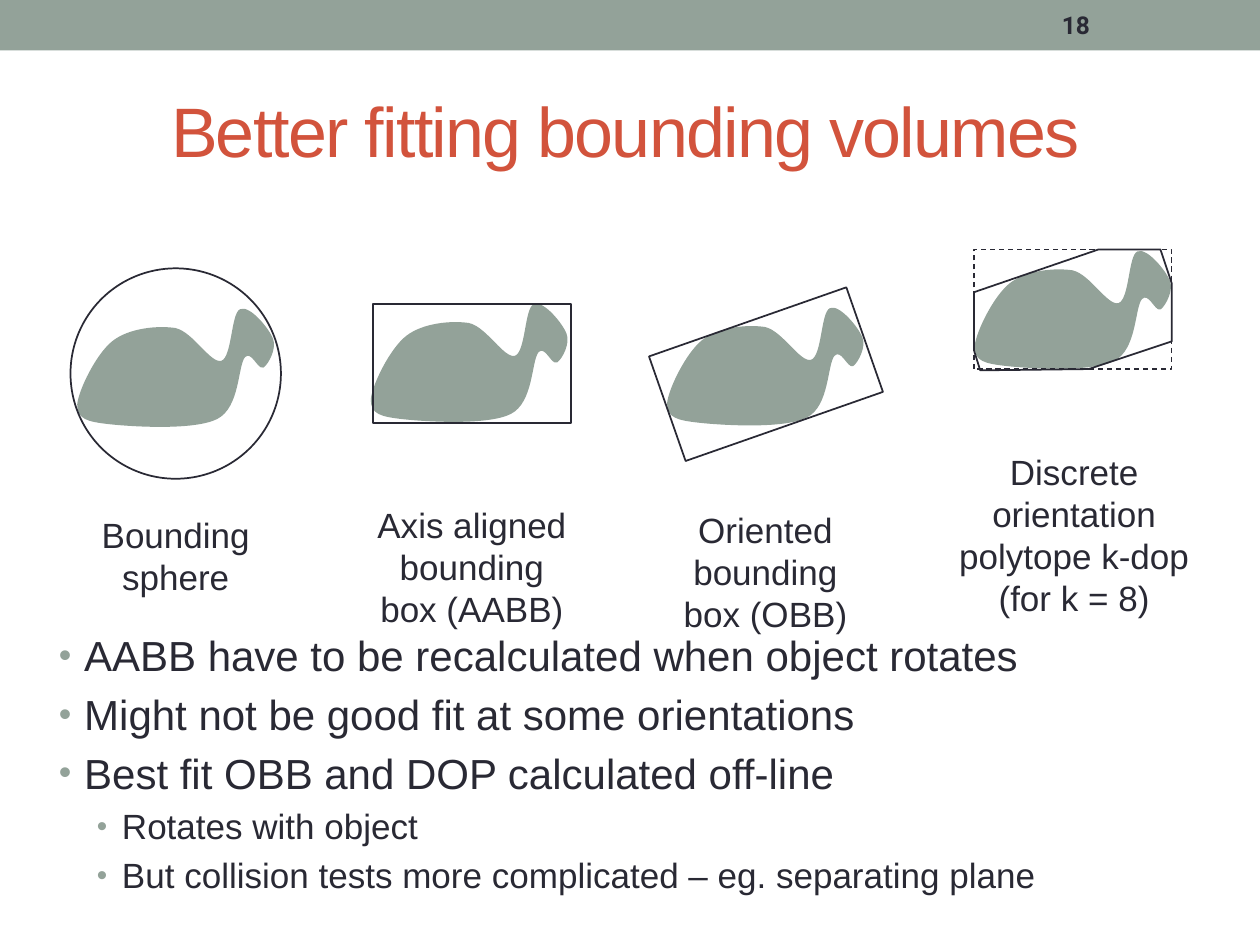
from dataclasses import dataclass
from itertools import chain
from typing import NamedTuple, Optional

from lxml.etree import SubElement
from pptx import Presentation
from pptx.dml.color import RGBColor
from pptx.enum.dml import MSO_LINE_DASH_STYLE as Dash
from pptx.enum.shapes import MSO_SHAPE as Preset
from pptx.enum.text import MSO_ANCHOR as Anchor, PP_ALIGN as Align
from pptx.oxml.ns import qn
from pptx.util import Inches, Pt

INK, SAGE, RUST = "292934", "93A299", "D2533C"


class Area(NamedTuple):
    left: float
    top: float
    width: float
    height: float


@dataclass
class Frame:
    preset: Preset
    area: Area
    line_width: float = 1
    dash: Optional[Dash] = None
    rotation: float = 0


@dataclass
class Volume:
    label: str
    label_area: Area
    body_left: float
    body_top: float
    body_line: float
    frame: Frame


@dataclass
class Bullet:
    text: str
    level: int = 0


VOLUMES = [
    Volume("Bounding sphere", Area(0.66, 4.03, 1.47, 0.77), 0.62, 2.43, 1,
           Frame(Preset.OVAL, Area(0.56, 2.13, 1.67, 1.67))),
    Volume("Axis aligned bounding box (AABB)", Area(2.87, 3.95, 1.75, 1.1), 2.95, 2.39, 1,
           Frame(Preset.RECTANGLE, Area(2.96, 2.41, 1.57, 0.95))),
    Volume("Oriented bounding box (OBB)", Area(5.2, 3.99, 1.75, 1.1), 5.3, 2.42, 0.75,
           Frame(Preset.RECTANGLE, Area(5.25, 2.53, 1.66, 0.88), rotation=340.7)),
    Volume("Discrete orientation polytope k-dop (for k = 8)", Area(7.37, 3.53, 2.31, 1.43),
           7.74, 1.97, 0.75,
           Frame(Preset.RECTANGLE, Area(7.73, 1.98, 1.57, 0.95), 0.75, Dash.DASH)),
]

BULLETS = [
    Bullet("AABB have to be recalculated when object rotates"),
    Bullet("Might not be good fit at some orientations"),
    Bullet("Best fit OBB and DOP calculated off-line"),
    Bullet("Rotates with object", 1),
    Bullet("But collision tests more complicated – eg. separating plane", 1),
]

BODY_START = (0, 0.78)
BODY_CURVES = [
    ((0.01, 0.67), (0.15, 0.38), (0.28, 0.28)),
    ((0.41, 0.18), (0.63, 0.16), (0.77, 0.18)),
    ((0.91, 0.21), (1.05, 0.47), (1.14, 0.44)),
    ((1.23, 0.41), (1.22, 0.06), (1.29, 0.03)),
    ((1.36, 0), (1.51, 0.18), (1.54, 0.26)),
    ((1.57, 0.33), (1.51, 0.45), (1.47, 0.48)),
    ((1.43, 0.5), (1.38, 0.34), (1.32, 0.4)),
    ((1.26, 0.47), (1.28, 0.8), (1.1, 0.89)),
    ((0.92, 0.98), (0.43, 0.95), (0.25, 0.93)),
    ((0.07, 0.91), (0, 0.89), BODY_START),
]
POLYTOPE = [(7.78, 2.94), (7.73, 2.78), (7.73, 2.32), (8.72, 1.98),
            (9.21, 1.98), (9.3, 2.25), (9.3, 2.71), (8.64, 2.93)]


def colour(code: str) -> RGBColor:
    return RGBColor.from_string(code)


def paint(shape, fill: Optional[str], line: Optional[str], width: float = 1) -> None:
    shape.shadow.inherit = False
    if fill:
        shape.fill.solid()
        shape.fill.fore_color.rgb = colour(fill)
    else:
        shape.fill.background()
    if line:
        shape.line.color.rgb = colour(line)
        shape.line.width = Pt(width)
    else:
        shape.line.fill.background()


def add_preset(page, preset: Preset, area: Area):
    return page.shapes.add_shape(preset, *map(Inches, area))


def style(para, size: float, code: str, font: str = "Arial", bold: bool = False) -> None:
    for span in para.runs:
        span.font.size = Pt(size)
        span.font.name = font
        span.font.bold = bold
        span.font.color.rgb = colour(code)


def add_text(page, area: Area, text: str, anchor: Anchor = Anchor.TOP):
    box = page.shapes.add_textbox(*map(Inches, area))
    box.text_frame.word_wrap = True
    box.text_frame.vertical_anchor = anchor
    box.text_frame.text = text
    return box.text_frame


def add_outline(page, points: list, left: float = 0, top: float = 0):
    moved = [(Inches(left + x), Inches(top + y)) for x, y in points]
    builder = page.shapes.build_freeform(*moved[0], scale=1.0)
    builder.add_line_segments(moved[1:], close=True)
    return builder.convert_to_shape()


def add_body(page, volume: Volume) -> None:
    points = [BODY_START, *chain.from_iterable(BODY_CURVES)]
    body = add_outline(page, points, volume.body_left, volume.body_top)
    outline = next(body._element.iter(qn("a:path")))
    close = outline.find(qn("a:close"))
    segments = iter(outline.findall(qn("a:lnTo")))
    for steps in zip(segments, segments, segments):
        curve = SubElement(outline, qn("a:cubicBezTo"))
        for step in steps:
            curve.append(step[0])
            outline.remove(step)
    outline.append(close)
    paint(body, SAGE, SAGE, volume.body_line)


def add_frame(page, frame: Frame) -> None:
    shape = add_preset(page, frame.preset, frame.area)
    paint(shape, None, INK, frame.line_width)
    shape.rotation = frame.rotation
    if frame.dash:
        shape.line.dash_style = frame.dash


def add_volume(page, volume: Volume) -> None:
    add_body(page, volume)
    add_frame(page, volume.frame)
    para = add_text(page, volume.label_area, volume.label).paragraphs[0]
    para.alignment = Align.CENTER
    style(para, 20, INK)


def format_bullet(para, bullet: Bullet) -> None:
    para.level = bullet.level
    style(para, 24 - 4 * bullet.level, INK)
    props = para._p.get_or_add_pPr()
    props.set("marL", str(Inches(0.2 + 0.3 * bullet.level)))
    props.set("indent", str(Inches(-0.2)))
    before = SubElement(props, qn("a:spcBef"))
    SubElement(before, qn("a:spcPct"), val="20000")
    tint = SubElement(props, qn("a:buClr"))
    SubElement(tint, qn("a:srgbClr"), val=SAGE)
    SubElement(props, qn("a:buSzPct"), val="85000")
    SubElement(props, qn("a:buFont"), typeface="Arial")
    SubElement(props, qn("a:buChar"), char="•")


deck = Presentation()
deck.slide_width, deck.slide_height = Inches(10), Inches(7.5)
page = deck.slides.add_slide(deck.slide_layouts[6])

paint(add_preset(page, Preset.RECTANGLE, Area(0, 0, 10, 0.4)), SAGE, None)
number = add_text(page, Area(8.33, 0.02, 1.17, 0.36), "18", Anchor.MIDDLE)
style(number.paragraphs[0], 14, INK, "Roboto", True)

title = add_text(page, Area(1.26, 0.23, 8.74, 1.6), "Better fitting bounding volumes", Anchor.MIDDLE)
style(title.paragraphs[0], 40, RUST)
title.paragraphs[0].runs[0].font._element.set("spc", "-100")

points = add_text(page, Area(0.37, 4.95, 8.5, 2.32), "\n".join(item.text for item in BULLETS))
for para, bullet in zip(points.paragraphs, BULLETS):
    format_bullet(para, bullet)

for volume in VOLUMES:
    add_volume(page, volume)
paint(add_outline(page, POLYTOPE), None, INK)

deck.save("out.pptx")
